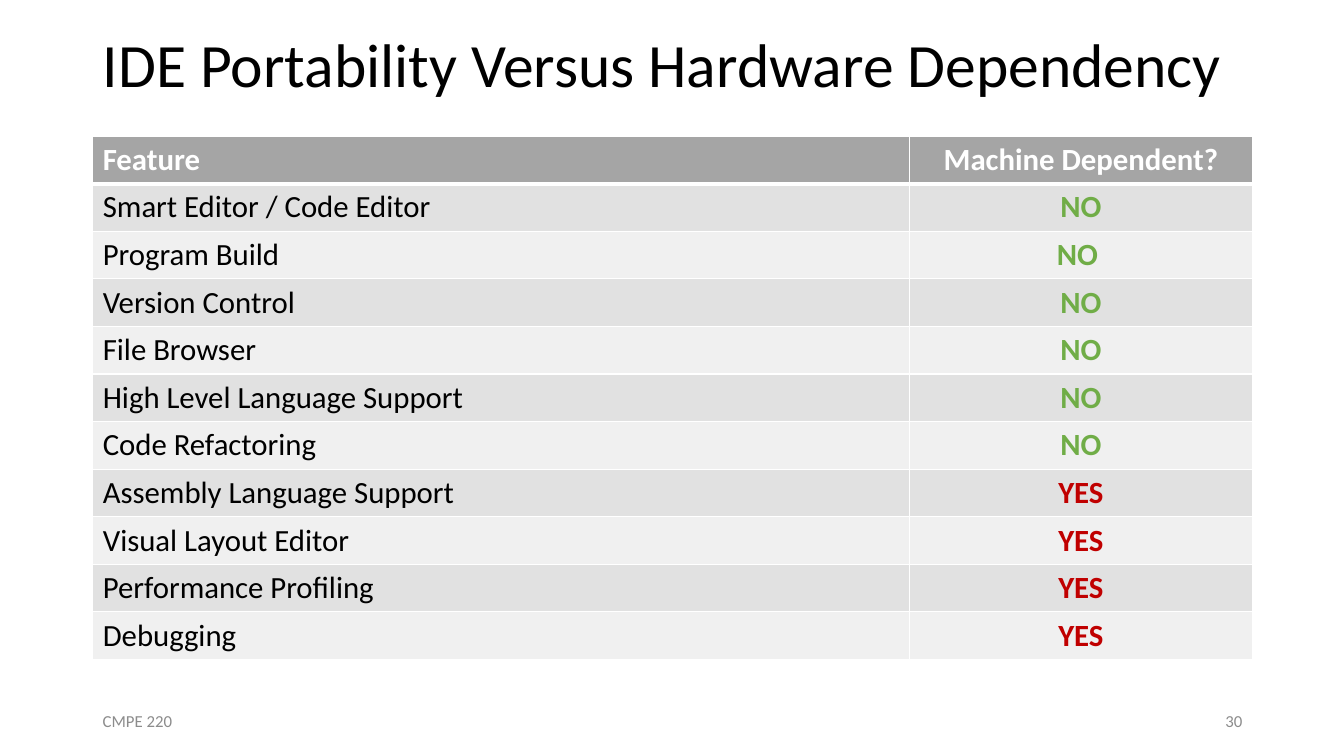
"""Build a slide with a table of IDE features and their machine dependency."""
from lxml.etree import SubElement
from pptx import Presentation
from pptx.dml.color import RGBColor
from pptx.enum.text import MSO_ANCHOR as Anchor, MSO_AUTO_SIZE as Fit, PP_ALIGN as Align
from pptx.oxml import parse_xml
from pptx.oxml.ns import nsdecls, qn
from pptx.util import Inches, Pt


def tint(text):
    return RGBColor.from_string(text)


def write(frame, text, size, color, bold=False, align=Align.LEFT):
    frame.text = text
    par = frame.paragraphs[0]
    par.alignment = align
    font = par.runs[0].font
    look = {"name": "Calibri", "size": Pt(size), "bold": bold}
    for key, val in look.items():
        setattr(font, key, val)
    font.color.rgb = tint(color)


deck = Presentation()
deck.slide_width = Inches(13.33)
deck.slide_height = Inches(7.5)
slide = deck.slides.add_slide(deck.slide_layouts[5])

title = slide.shapes.title
place = {"left": 0.92, "top": 0, "width": 11.5, "height": 1.35}
for key, val in place.items():
    setattr(title, key, Inches(val))
write(title.text_frame, "IDE Portability Versus Hardware Dependency", 44, "000000")
title.text_frame.auto_size = Fit.NONE
title.text_frame.vertical_anchor = Anchor.MIDDLE
title.text_frame.paragraphs[0].line_spacing = 0.9

rows = [
    ("Feature", "Machine Dependent?"),
    ("Smart Editor / Code Editor", "NO"),
    ("Program Build", "NO "),
    ("Version Control", "NO"),
    ("File Browser", "NO"),
    ("High Level Language Support", "NO"),
    ("Code Refactoring", "NO"),
    ("Assembly Language Support", "YES"),
    ("Visual Layout Editor", "YES"),
    ("Performance Profiling", "YES"),
    ("Debugging", "YES"),
]
high = 0.47
table = slide.shapes.add_table(
    len(rows), 2, Inches(0.92), Inches(1.35), Inches(11.5), Inches(high * len(rows))
).table
for col, wide in zip(table.columns, (8.1, 3.4)):
    col.width = Inches(wide)

inks = {"NO": "70AD47", "YES": "C00000"}
for r, row in enumerate(rows):
    table.rows[r].height = Inches(high)
    shade = "A5A5A5" if r == 0 else ("F0F0F0", "E1E1E1")[r % 2]
    for c, text in enumerate(row):
        cell = table.cell(r, c)
        ink = "FFFFFF" if r == 0 else inks.get(text.strip(), "000000")
        align = Align.CENTER if c else Align.LEFT
        write(cell.text_frame, text, 22, ink, r == 0 or c == 1, align)
        cell.fill.solid()
        cell.fill.fore_color.rgb = tint(shade)
        thick = {"L": 1, "R": 1, "T": 3 if r == 1 else 1, "B": 3 if r == 0 else 1}
        props = cell._tc.get_or_add_tcPr()
        for spot, (side, size) in enumerate(thick.items()):
            line = parse_xml(f'<a:ln{side} {nsdecls("a")} w="{Pt(size)}"/>')
            fill = SubElement(line, qn("a:solidFill"))
            SubElement(fill, qn("a:srgbClr"), val="FFFFFF")
            props.insert(spot, line)

notes = [("CMPE 220", 0.92, Align.LEFT), ("30", 9.42, Align.RIGHT)]
for text, left, align in notes:
    box = slide.shapes.add_textbox(Inches(left), Inches(6.95), Inches(3), Inches(0.4))
    box.text_frame.word_wrap = True
    box.text_frame.vertical_anchor = Anchor.MIDDLE
    write(box.text_frame, text, 12, "8C8C8C", align=align)

deck.save("out.pptx")
